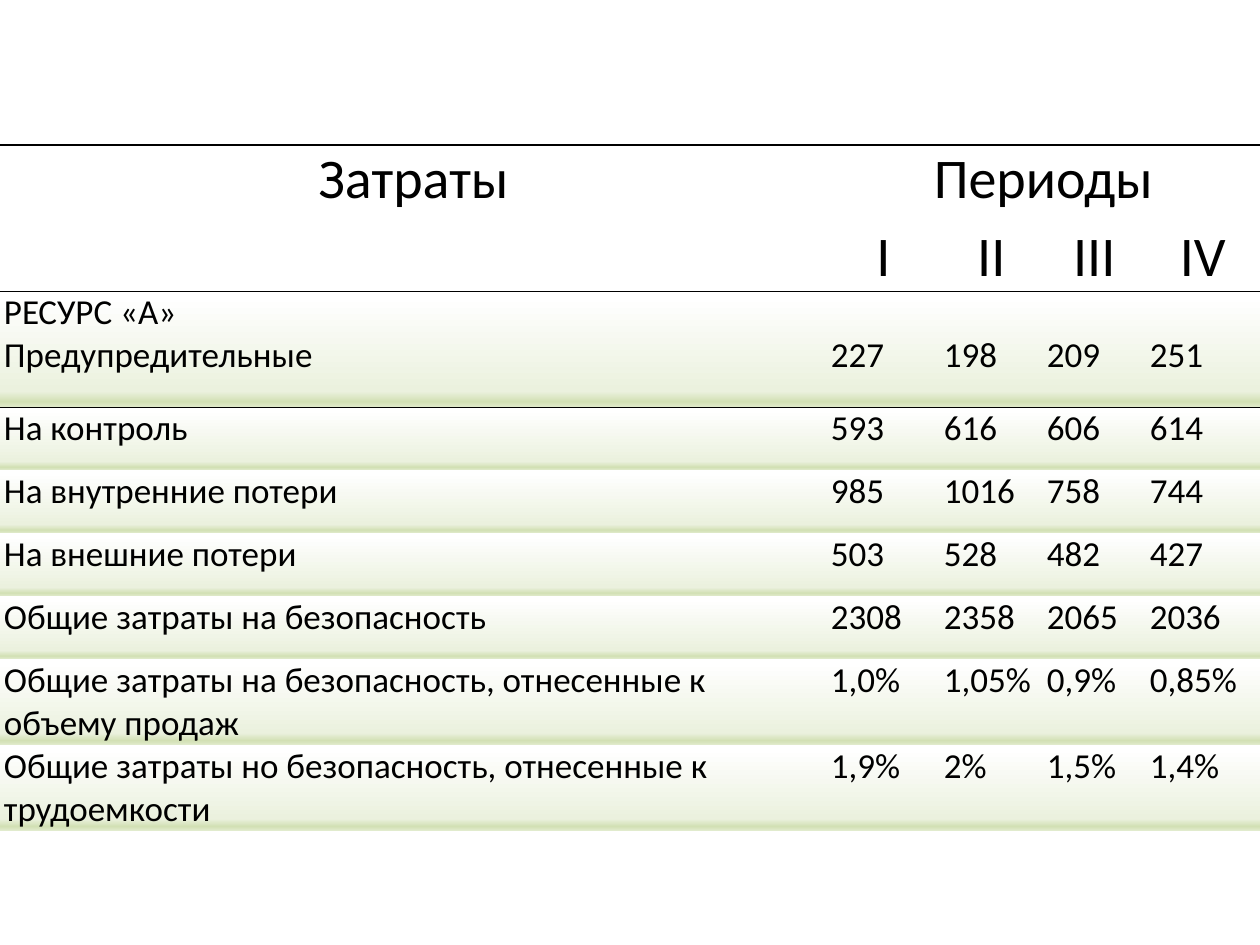
from lxml import etree
from pptx import Presentation
from pptx.dml.color import RGBColor
from pptx.enum.text import PP_ALIGN
from pptx.oxml.ns import qn
from pptx.util import Pt

CENTER, LEFT = PP_ALIGN.CENTER, PP_ALIGN.LEFT
PX = 914400 // 126
FONT = "Calibri"
BLACK, WHITE = "000000", "FFFFFF"
PLAIN = "{2D5ABB26-0587-4C30-8999-92F81FD0307C}"
STOPS = [(4, "FFFFFF"), (86, "EBF1DE"), (95, "D2E0B4"), (100, "E1EBCD")]
COLS = [827, 113, 103, 103, 114]
ROWS = [78, 53, 116, 63, 63, 63, 63, 63, 82]
TOP, SIDE, DROP = 145, 4, 43

HEAD = [
    ["Затраты", "Периоды", "", "", ""],
    ["", "I", "II", "III", "IV"],
]
COSTS = [
    ["РЕСУРС «А»\nПредупредительные", "227", "198", "209", "251"],
    ["На контроль", "593", "616", "606", "614"],
    ["На внутренние потери", "985", "1016", "758", "744"],
    ["На внешние потери", "503", "528", "482", "427"],
    ["Общие затраты на безопасность", "2308", "2358", "2065", "2036"],
    ["Общие затраты на безопасность, отнесенные к объему продаж",
     "1,0%", "1,05%", "0,9%", "0,85%"],
    ["Общие затраты но безопасность, отнесенные к трудоемкости",
     "1,9%", "2%", "1,5%", "1,4%"],
]


def px(n):
    return n * PX


def rgb(code):
    return RGBColor.from_string(code)


def add(node, tag, **attrs):
    return etree.SubElement(node, qn(tag), {k: str(v) for k, v in attrs.items()})


def edge(cell, side):
    line = add(cell._tc.get_or_add_tcPr(), "a:ln" + side, w=Pt(1))
    add(add(line, "a:solidFill"), "a:srgbClr", val=BLACK)


def shade(cell):
    grad = add(cell._tc.get_or_add_tcPr(), "a:gradFill", rotWithShape=1)
    stops = add(grad, "a:gsLst")
    for pos, code in STOPS:
        add(add(stops, "a:gs", pos=pos * 1000), "a:srgbClr", val=code)
    add(grad, "a:lin", ang=90 * 60000, scaled=0)


def write(cell, text, size, align):
    cell.margin_left = cell.margin_right = px(SIDE)
    cell.margin_top = cell.margin_bottom = 0
    cell.text = text
    for para in cell.text_frame.paragraphs:
        para.alignment = align
        para.font.name = FONT
        para.font.size = Pt(size)
        para.font.color.rgb = rgb(BLACK)


def main():
    deck = Presentation()
    deck.slide_width, deck.slide_height = px(1260), px(945)
    slide = deck.slides.add_slide(deck.slide_layouts[6])
    data = HEAD + COSTS
    frame = slide.shapes.add_table(
        len(data), len(COLS), 0, px(TOP), px(sum(COLS)), px(sum(ROWS)))
    table = frame.table
    table.first_row = table.horz_banding = False
    table._tbl.tblPr.find(qn("a:tableStyleId")).text = PLAIN
    for col, wide in zip(table.columns, COLS):
        col.width = px(wide)
    for row, high in zip(table.rows, ROWS):
        row.height = px(high)

    first = len(HEAD)
    for r, texts in enumerate(data):
        for c, text in enumerate(texts):
            cell = table.cell(r, c)
            head = r < first
            if text:
                write(cell, text, 32 if head else 20, CENTER if head else LEFT)
            if r in (0, first):
                edge(cell, "T")
            if r == first - 1:
                edge(cell, "B")
            if head:
                cell.fill.solid()
                cell.fill.fore_color.rgb = rgb(WHITE)
            else:
                shade(cell)
            if r == first and c:
                cell.margin_top = px(DROP)
    table.cell(0, 1).merge(table.cell(0, len(COLS) - 1))
    deck.save("out.pptx")


if __name__ == "__main__":
    main()
